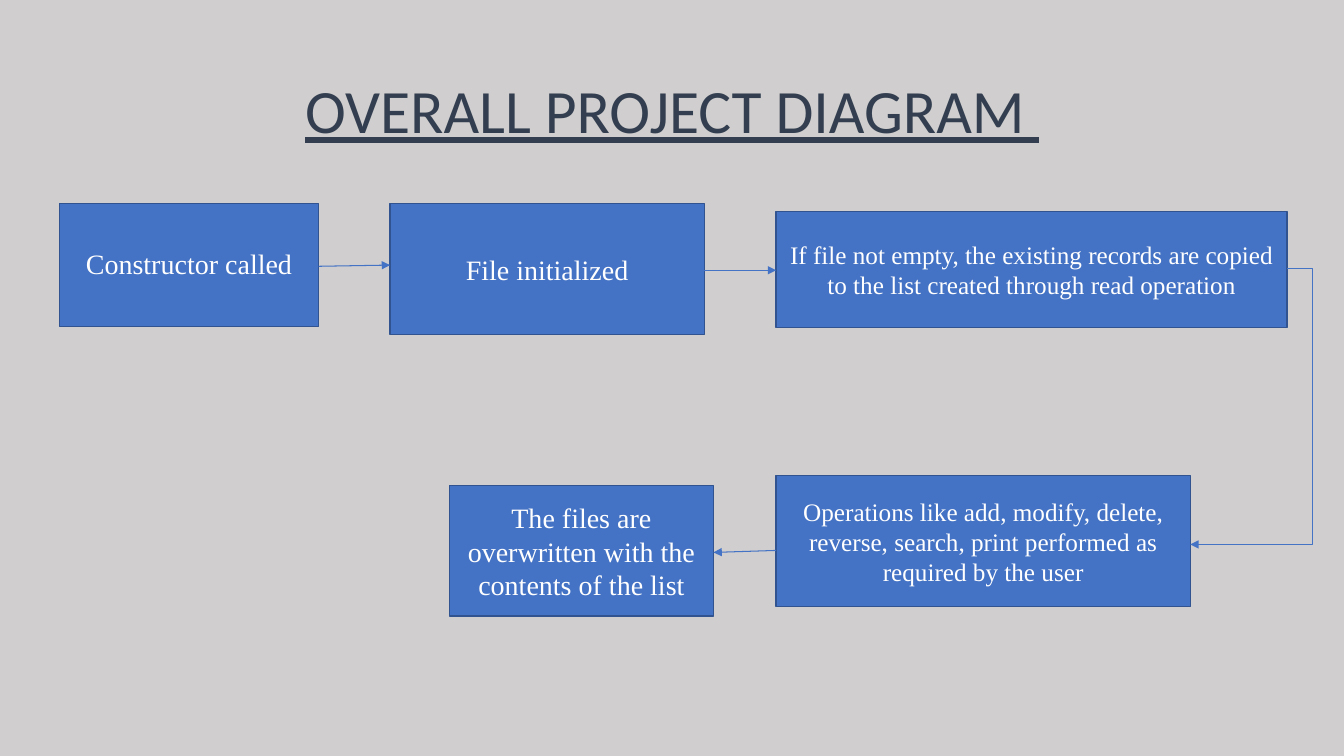
from lxml.etree import SubElement
from pptx import Presentation
from pptx.dml.color import RGBColor
from pptx.enum.shapes import MSO_CONNECTOR, MSO_SHAPE
from pptx.enum.text import MSO_ANCHOR, PP_ALIGN
from pptx.oxml.ns import qn
from pptx.util import Cm, Pt

TITLE = "OVERALL PROJECT DIAGRAM "
TITLE_AREA = (2.34, 1.02, 29.21, 3.68)

STEPS = {
    "construct": ("Constructor called", (1.5, 5.13, 6.53, 3.1), "large", 0.9),
    "initialize": ("File initialized", (9.83, 5.13, 7.92, 3.3), "large", 1.0),
    "load": (
        "If file not empty, the existing records are copied "
        "to the list created through read operation",
        (19.56, 5.33, 12.88, 2.92), "small", 1.0),
    "operate": (
        "Operations like add, modify, delete, reverse, search, "
        "print performed as required by the user",
        (19.56, 11.99, 10.44, 3.3), "small", 1.0),
    "overwrite": (
        "The files are overwritten with the contents of the list",
        (11.33, 12.24, 6.65, 3.28), "large", 1.0),
}

FLOWS = [
    ("construct", "right", 6.71, "initialize", "left", 6.68),
    ("initialize", "right", 6.81, "load", "left", 6.81),
    ("load", "right", 6.76, "operate", "right", 13.72),
    ("operate", "left", 13.87, "overwrite", "right", 13.92),
]
ELBOW_BEND = -26200

THEME = {
    "background": "D0CECE", "title": "333F50", "box": "4472C4",
    "border": "31538F", "text": "FFFFFF", "arrow": "4472C4",
    "title_font": "Calibri", "step_font": "Times New Roman",
    "title_size": 44, "large": 20, "small": 18,
    "border_width": 1, "arrow_width": 0.75,
}


def color(name):
    return RGBColor.from_string(THEME[name])


def write(frame, wording, font_name, size, ink, spacing):
    frame.text = wording
    frame.word_wrap = True
    frame.vertical_anchor = MSO_ANCHOR.MIDDLE
    paragraph = frame.paragraphs[0]
    paragraph.alignment = PP_ALIGN.CENTER
    paragraph.line_spacing = spacing
    font = paragraph.runs[0].font
    font.name = THEME[font_name]
    font.size = Pt(THEME[size])
    font.color.rgb = color(ink)
    return font


def add_step(slide, wording, area, size, spacing):
    step = slide.shapes.add_shape(MSO_SHAPE.RECTANGLE, *map(Cm, area))
    step.shadow.inherit = False
    step.fill.solid()
    step.fill.fore_color.rgb = color("box")
    step.line.color.rgb = color("border")
    step.line.width = Pt(THEME["border_width"])
    write(step.text_frame, wording, "step_font", size, "text", spacing)


def edge(step, side):
    left, _, width, _ = STEPS[step][1]
    return left + width if side == "right" else left


def add_flow(slide, source, exit_side, exit_y, target, entry_side, entry_y):
    bent = exit_side == entry_side
    kind = MSO_CONNECTOR.ELBOW if bent else MSO_CONNECTOR.STRAIGHT
    ends = (edge(source, exit_side), exit_y, edge(target, entry_side), entry_y)
    flow = slide.shapes.add_connector(kind, *map(Cm, ends))
    flow.line.color.rgb = color("arrow")
    flow.line.width = Pt(THEME["arrow_width"])
    properties = flow._element.spPr
    SubElement(properties.find(qn("a:ln")), qn("a:tailEnd"), type="triangle")
    SubElement(properties, qn("a:effectLst"))
    if bent:
        guides = properties.find(qn("a:prstGeom")).get_or_add_avLst()
        SubElement(guides, qn("a:gd"), name="adj1", fmla=f"val {ELBOW_BEND}")


def main():
    deck = Presentation()
    deck.slide_width, deck.slide_height = Cm(33.87), Cm(19.05)
    slide = deck.slides.add_slide(deck.slide_layouts[6])
    slide.background.fill.solid()
    slide.background.fill.fore_color.rgb = color("background")

    heading = slide.shapes.add_textbox(*map(Cm, TITLE_AREA))
    write(heading.text_frame, TITLE, "title_font", "title_size", "title", 0.9).underline = True
    for step in STEPS.values():
        add_step(slide, *step)
    for flow in FLOWS:
        add_flow(slide, *flow)
    deck.save("out.pptx")


if __name__ == "__main__":
    main()
